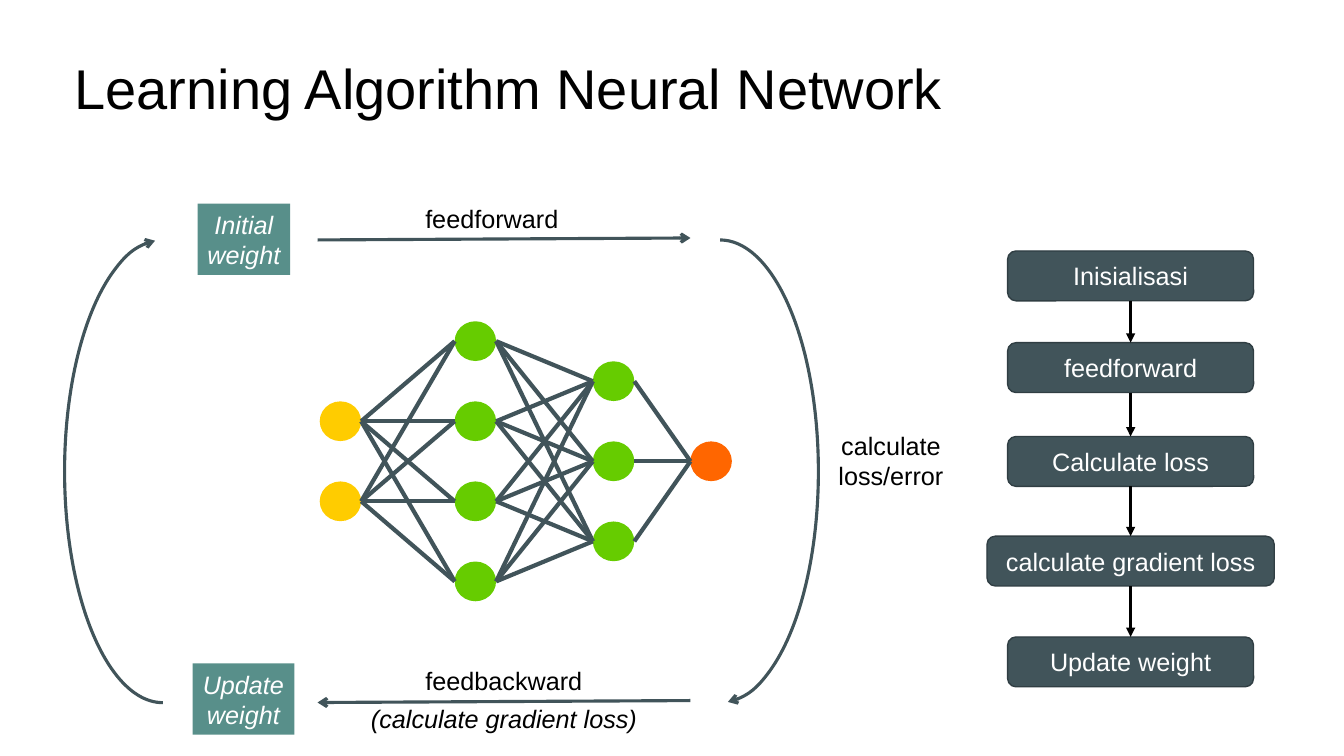
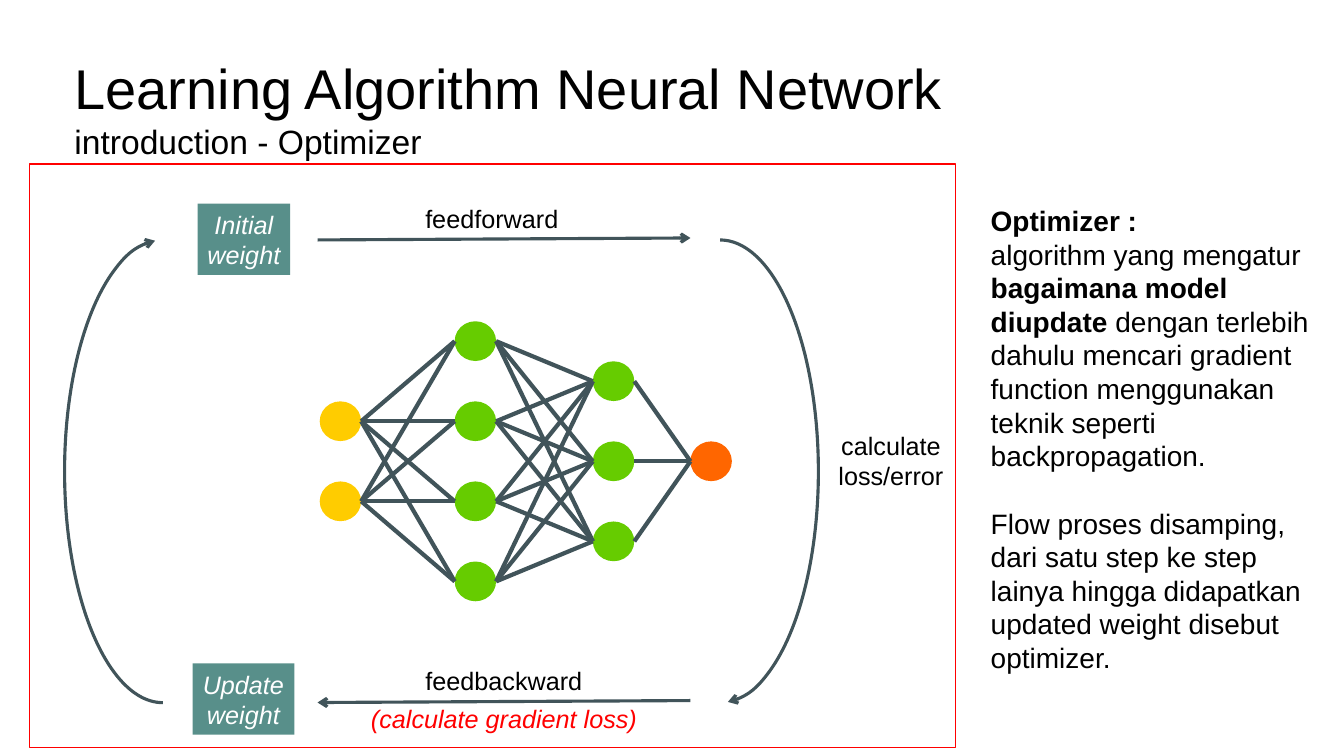
import itertools

import lxml.etree
import pptx
import pptx.dml.color
import pptx.enum.shapes
import pptx.enum.text
import pptx.oxml.ns
import pptx.util

Pt = pptx.util.Pt
qn = pptx.oxml.ns.qn
MSO_SHAPE = pptx.enum.shapes.MSO_SHAPE
PP_ALIGN = pptx.enum.text.PP_ALIGN

FONT = "Arial"
COLORS = {
    "text": "000000",
    "light": "FFFFFF",
    "slate": "41545A",
    "slate_edge": "303E43",
    "teal": "588F8A",
    "accent": "FF0000",
    "input": "FFCC00",
    "hidden": "66CC00",
    "output": "FF6600",
}

# Network: (left edge, number of nodes, colour) of each layer
LAYERS = [
    (228.4, 2, "input"),
    (324.8, 4, "hidden"),
    (423.5, 3, "hidden"),
    (493.2, 1, "output"),
]
NODE_W, NODE_H = 29.6, 28.4
NODE_PITCH, NETWORK_MIDDLE = 57.2, 329.5

# Flow chart: (label, top, width) of each step
STEPS = [
    ("Inisialisasi", 179.3, 175.7),
    ("feedforward", 244.8, 175.7),
    ("Calculate loss", 311.8, 175.7),
    ("calculate gradient loss", 383, 205.2),
    ("Update weight", 455, 175.7),
]
STEP_H, FLOW_CENTER = 35.6, 807.6


def rgb(name):
    return pptx.dml.color.RGBColor.from_string(COLORS[name])


def style_runs(p, size, color="text", bold=None, italic=None):
    for r in p.runs:
        r.font.name = FONT
        r.font.size = Pt(size)
        r.font.color.rgb = rgb(color)
        r.font.bold = bold
        r.font.italic = italic


def write(s, text, size=18, color="text", align=PP_ALIGN.CENTER, italic=None):
    tf = s.text_frame
    tf.text = text
    for p in tf.paragraphs:
        p.alignment = align
        style_runs(p, size, color, italic=italic)
    return tf


def fit_to_text(tf, wrap=False):
    tf.word_wrap = wrap
    tf.auto_size = pptx.enum.text.MSO_AUTO_SIZE.SHAPE_TO_FIT_TEXT


def add_text(shapes, text, box, **style):
    s = shapes.add_textbox(*map(Pt, box))
    tf = write(s, text, **style)
    fit_to_text(tf)
    return tf


def add_shape(shapes, kind, box, fill=None, line=None, width=1):
    s = shapes.add_shape(kind, *map(Pt, box))
    s.shadow.inherit = False
    if fill:
        s.fill.solid()
        s.fill.fore_color.rgb = rgb(fill)
    else:
        s.fill.background()
    if line:
        s.line.color.rgb = rgb(line)
        s.line.width = Pt(width)
    else:
        s.line.fill.background()
    return s


def add_arrowhead(s, kind):
    ln = s._element.spPr.find(qn("a:ln"))
    lxml.etree.SubElement(ln, qn("a:tailEnd"), type=kind)


def add_line(shapes, start, end, color="slate", width=2.25, arrow=None):
    c = shapes.add_connector(
        pptx.enum.shapes.MSO_CONNECTOR.STRAIGHT, *map(Pt, start + end))
    c.line.color.rgb = rgb(color)
    c.line.width = Pt(width)
    if arrow:
        add_arrowhead(c, arrow)
    lxml.etree.SubElement(c._element.spPr, qn("a:effectLst"))
    return c


def add_title(shapes, subtitle=None):
    text = "Learning Algorithm Neural Network"
    box = (46.1, 34.6, 634.3, 85 if subtitle else 55.4)
    if subtitle:
        text += "\n" + subtitle
    tf = add_text(shapes, text, box, size=40, align=PP_ALIGN.LEFT)
    for p in tf.paragraphs[1:]:
        style_runs(p, 24)


def add_network(shapes):
    group = shapes.add_group_shape().shapes
    centers = []
    # Nodes, each layer centred on the same height
    for left, count, color in LAYERS:
        first = NETWORK_MIDDLE - (count - 1) * NODE_PITCH / 2
        rows = [first + i * NODE_PITCH for i in range(count)]
        centers.append(rows)
        for y in rows:
            add_shape(group, MSO_SHAPE.OVAL,
                      (left, y - NODE_H / 2, NODE_W, NODE_H), color)
    # Every node joined to every node of the next layer
    for i in range(len(LAYERS) - 1):
        x1, x2 = LAYERS[i][0] + NODE_W, LAYERS[i + 1][0]
        for y1, y2 in itertools.product(centers[i], centers[i + 1]):
            add_line(group, (x1, y1), (x2, y2), width=3)


def add_weight(shapes, text, box):
    s = add_shape(shapes, MSO_SHAPE.RECTANGLE, box, "teal")
    fit_to_text(write(s, text, color="light", italic=True))


def add_arc(shapes, left, rotation=0):
    s = add_shape(shapes, MSO_SHAPE.ARC, (left, 171.4, 140.4, 330.5),
                  line="slate", width=2.25)
    s.adjustments[0] = 162
    s.adjustments[1] = 52.84
    s.rotation = rotation
    add_arrowhead(s, "arrow")


def add_training_cycle(shapes, gradient_color):
    add_network(shapes)
    # Forward and backward passes
    add_line(shapes, (226.8, 171.4), (493.2, 170), arrow="arrow")
    add_line(shapes, (493.2, 500.4), (226.8, 501.8), arrow="arrow")
    add_text(shapes, "feedforward", (296.6, 141.8, 109.4, 29))
    add_text(shapes, "feedbackward", (296.6, 471.6, 126.7, 29))
    add_text(shapes, "calculate\nloss/error", (591.8, 303.8, 89.3, 51))
    add_text(shapes, "(calculate gradient loss)", (257.8, 499, 204.5, 29),
             color=gradient_color, italic=True)
    # Weights and the arcs that close the cycle
    add_weight(shapes, "Update\nweight", (137.5, 473.8, 72.7, 51))
    add_weight(shapes, "Initial\nweight", (141.1, 145.4, 66.2, 51))
    add_arc(shapes, 444.2)
    add_arc(shapes, 46.1, rotation=180)


def add_flow(shapes):
    steps = []
    for label, top, width in STEPS:
        s = add_shape(shapes, MSO_SHAPE.ROUNDED_RECTANGLE,
                      (FLOW_CENTER - width / 2, top, width, STEP_H),
                      "slate", "slate_edge")
        tf = write(s, label, color="light")
        tf.vertical_anchor = pptx.enum.text.MSO_ANCHOR.MIDDLE
        steps.append(s)
    for upper, lower in zip(steps, steps[1:]):
        c = add_line(shapes, (0, 0), (0, 0), "text", arrow="triangle")
        c.begin_connect(upper, 2)
        c.end_connect(lower, 0)


def add_optimizer_text(shapes):
    tf = shapes.add_textbox(*map(Pt, (700.6, 141.8, 249.8, 346.3))).text_frame
    fit_to_text(tf, wrap=True)
    # Paragraphs of (text, bold) runs
    paragraphs = [
        [("Optimizer :", True)],
        [("algorithm yang mengatur ", False),
         ("bagaimana model diupdate", True),
         (" dengan terlebih dahulu mencari gradient function menggunakan "
          "teknik seperti backpropagation.", False)],
        [("Flow proses disamping, dari satu step ke step lainya hingga "
          "didapatkan updated weight disebut optimizer.", False)],
    ]
    for i, runs in enumerate(paragraphs):
        p = tf.add_paragraph() if i else tf.paragraphs[0]
        for text, _ in runs:
            p.add_run().text = text
        style_runs(p, 20)
        for r, (_, bold) in zip(p.runs, runs):
            r.font.bold = bold
    p.space_before = Pt(24)


def main():
    prs = pptx.Presentation()
    prs.slide_width, prs.slide_height = Pt(960), Pt(540)
    blank = prs.slide_layouts[6]

    # Slide 1: training cycle and its steps
    shapes = prs.slides.add_slide(blank).shapes
    add_title(shapes)
    add_flow(shapes)
    add_training_cycle(shapes, "text")

    # Slide 2: the optimizer
    shapes = prs.slides.add_slide(blank).shapes
    add_title(shapes, "introduction - Optimizer")
    add_optimizer_text(shapes)
    add_training_cycle(shapes, "accent")
    add_shape(shapes, MSO_SHAPE.RECTANGLE, (20.9, 117, 661.7, 416.9),
              line="accent")

    prs.save("out.pptx")


if __name__ == "__main__":
    main()
